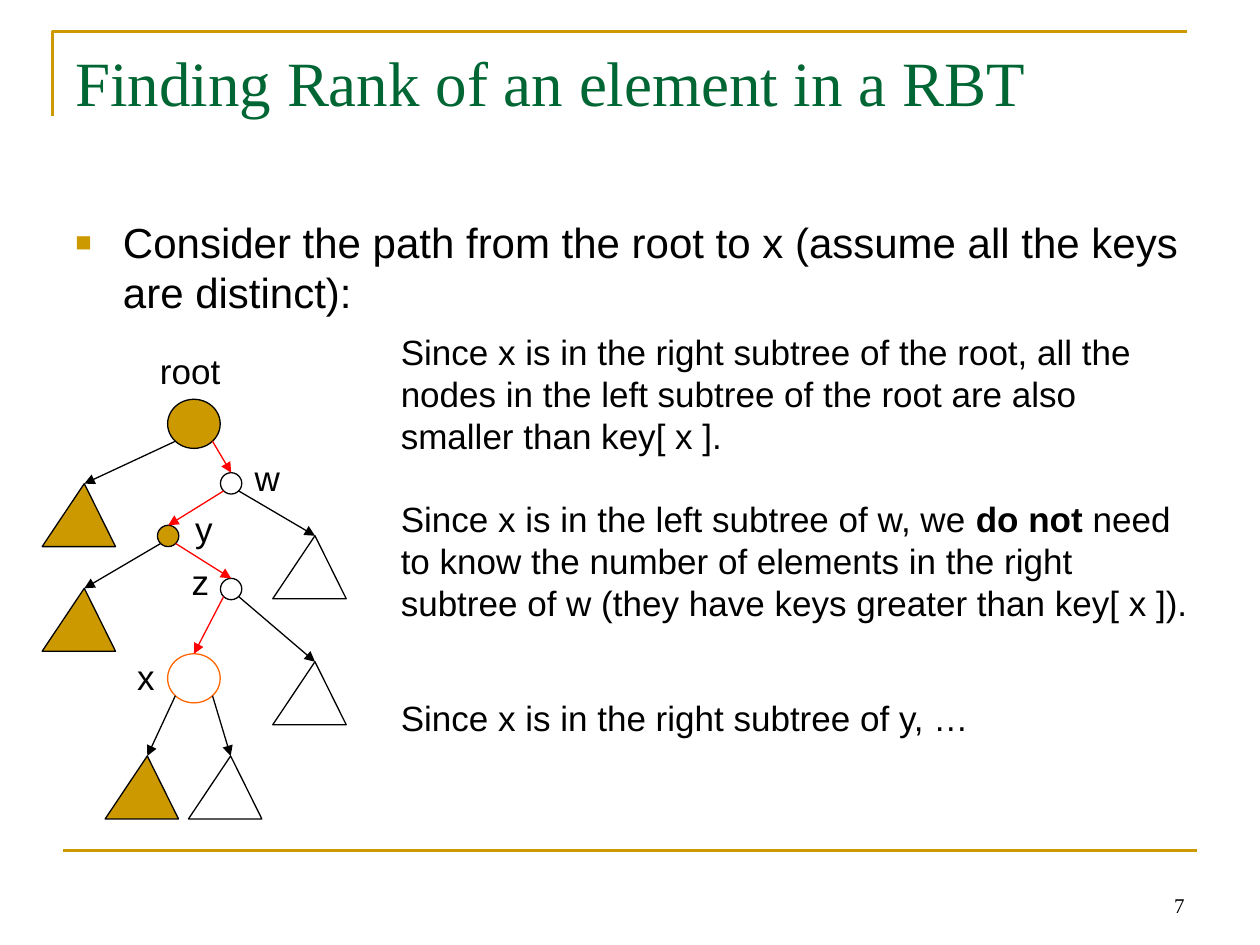
from math import sqrt

from pptx import Presentation
from pptx.dml.color import RGBColor
from pptx.enum.shapes import MSO_CONNECTOR as Link, MSO_SHAPE as Kind
from pptx.enum.text import MSO_ANCHOR as Anchor, MSO_AUTO_SIZE as Fit, PP_ALIGN as Align
from pptx.oxml.ns import qn
from pptx.util import Cm, Pt
from lxml.etree import SubElement

GOLD = RGBColor(0xCC, 0x99, 0x00)
GREEN = RGBColor(0x00, 0x66, 0x33)
RED = RGBColor(0xFF, 0x01, 0x01)
ORANGE = RGBColor(0xFF, 0x66, 0x00)
BLACK = RGBColor(0, 0, 0)

BIG, SMALL = (1.06, 0.99), (0.43, 0.43)
# name: (centre x, top, size, fill, line)
NODES = {
    "root": (3.91, 8.05, BIG, GOLD, BLACK),
    "w": (4.66, 9.53, SMALL, None, BLACK),
    "y": (3.39, 10.59, SMALL, GOLD, BLACK),
    "z": (4.66, 11.66, SMALL, None, BLACK),
    "x": (3.91, 13.18, BIG, None, ORANGE),
}
# name: (tip x, tip y, fill)
TREES = {
    "root left": (1.7, 9.75, GOLD),
    "w right": (6.35, 10.8, None),
    "y left": (1.7, 11.86, GOLD),
    "z right": (6.35, 13.34, None),
    "x left": (2.97, 15.24, GOLD),
    "x right": (4.65, 15.24, None),
}
# parent, side (-1 left, 1 right), child
EDGES = [
    ("root", -1, "root left"), ("root", 1, "w"),
    ("w", -1, "y"), ("w", 1, "w right"),
    ("y", -1, "y left"), ("y", 1, "z"),
    ("z", -1, "x"), ("z", 1, "z right"),
    ("x", -1, "x left"), ("x", 1, "x right"),
]
# name: (left, top, width)
LABELS = {
    "root": (2.97, 6.93, 1.73),
    "w": (4.88, 9.07, 1.02),
    "y": (3.68, 10.11, 0.86),
    "z": (3.61, 11.18, 0.86),
    "x": (2.51, 13.08, 0.86),
}
# top, height, (text, bold) runs
NOTES = [
    (6.53, 2.79, [("Since x is in the right subtree of the root, all the nodes in the "
                   "left subtree of the root are also smaller than key[ x ].", False)]),
    (9.91, 2.79, [("Since x is in the left subtree of w, we ", False), ("do not", True),
                  (" need to know the number of elements in the right subtree of w "
                   "(they have keys greater than key[ x ]).", False)]),
    (13.92, 1.09, [("Since x is in the right subtree of y, …", False)]),
]


def paint(shape, fill, line, width=0.75):
    shape.shadow.inherit = False
    if fill is None:
        shape.fill.background()
    else:
        shape.fill.solid()
        shape.fill.fore_color.rgb = fill
    shape.line.color.rgb = line
    shape.line.width = Pt(width)


def add_text(slide, box, runs, size, font="Arial", color=BLACK,
             align=Align.LEFT, wrap=True, fit=Fit.NONE):
    """Add a one-paragraph text box from (text, bold) runs."""
    shape = slide.shapes.add_textbox(*map(Cm, box))
    frame = shape.text_frame
    frame.word_wrap = wrap
    frame.auto_size = fit
    para = frame.paragraphs[0]
    para.alignment = align
    for text, bold in runs:
        run = para.add_run()
        run.text = text
        run.font.name = font
        run.font.size = Pt(size)
        run.font.bold = bold
        run.font.color.rgb = color
    return frame


def add_bullet(para):
    props = para._p.get_or_add_pPr()
    props.set("marL", str(Cm(0.96)))
    props.set("indent", str(-Cm(0.96)))
    SubElement(SubElement(props, qn("a:buClr")), qn("a:srgbClr"), val=str(GOLD))
    SubElement(props, qn("a:buSzPct"), val="65000")
    SubElement(props, qn("a:buFont"), typeface="Arial")
    SubElement(props, qn("a:buChar"), char="■")


def add_path(slide, points, fill, line, width=0.75, close=False):
    spots = [(Cm(x), Cm(y)) for x, y in points]
    path = slide.shapes.build_freeform(*spots[0])
    path.add_line_segments(spots[1:], close=close)
    paint(path.convert_to_shape(), fill, line, width)


def add_line(slide, start, end, color, width=0.75, arrow=True):
    line = slide.shapes.add_connector(Link.STRAIGHT, *map(Cm, start + end))
    line.line.color.rgb = color
    line.line.width = Pt(width)
    props = line._element.spPr
    if arrow:
        SubElement(props.find(qn("a:ln")), qn("a:tailEnd"), type="triangle")
    SubElement(props, qn("a:effectLst"))


def add_node(slide, mid, top, size, fill, line):
    wide, high = size
    shape = slide.shapes.add_shape(Kind.OVAL, *map(Cm, (mid - wide / 2, top, wide, high)))
    paint(shape, fill, line)


def add_tree(slide, x, y, fill):
    """Draw a subtree as a triangle that hangs from its tip."""
    points = [(x, y), (x - 0.85, y + 1.27), (x + 0.63, y + 1.27)]
    add_path(slide, points, fill, BLACK, close=True)


def add_edge(slide, name, side, child):
    """Join a node's lower diagonal point to the top of its child."""
    mid, top, (wide, high) = NODES[name][:3]
    start = (mid + side * wide / sqrt(8), top + high / 2 + high / sqrt(8))
    end = (NODES.get(child) or TREES[child])[:2]
    add_line(slide, start, end, RED if child in NODES else BLACK)


def add_frame(slide):
    add_path(slide, [(1.06, 2.33), (1.06, 0.64), (23.92, 0.64)], None, GOLD, 1.5)
    add_line(slide, (1.27, 17.15), (24.13, 17.15), GOLD, 1.5, arrow=False)
    page = add_text(slide, (18.21, 17.36, 5.92, 1.27), [("7", False)], 12,
                    "Times New Roman", align=Align.RIGHT)
    page.vertical_anchor = Anchor.BOTTOM


def main():
    deck = Presentation()
    deck.slide_width, deck.slide_height = Cm(25.4), Cm(19.05)
    slide = deck.slides.add_slide(deck.slide_layouts[6])

    add_frame(slide)
    add_text(slide, (1.27, 0.76, 22.86, 3.18),
             [("Finding Rank of an element in a RBT", False)],
             36, "Times New Roman", GREEN)
    body = add_text(slide, (1.27, 4.24, 22.86, 12.57),
                    [("Consider the path from the root to x "
                      "(assume all the keys are distinct):", False)], 24)
    add_bullet(body.paragraphs[0])

    for node in NODES.values():
        add_node(slide, *node)
    for tree in TREES.values():
        add_tree(slide, *tree)
    for edge in EDGES:
        add_edge(slide, *edge)
    for name, place in LABELS.items():
        add_text(slide, (*place, 1.09), [(name, False)], 20,
                 align=Align.CENTER, wrap=False, fit=Fit.SHAPE_TO_FIT_TEXT)
    for top, high, runs in NOTES:
        add_text(slide, (7.83, top, 16.51, high), runs, 20, fit=Fit.SHAPE_TO_FIT_TEXT)

    deck.save("out.pptx")


if __name__ == "__main__":
    main()
